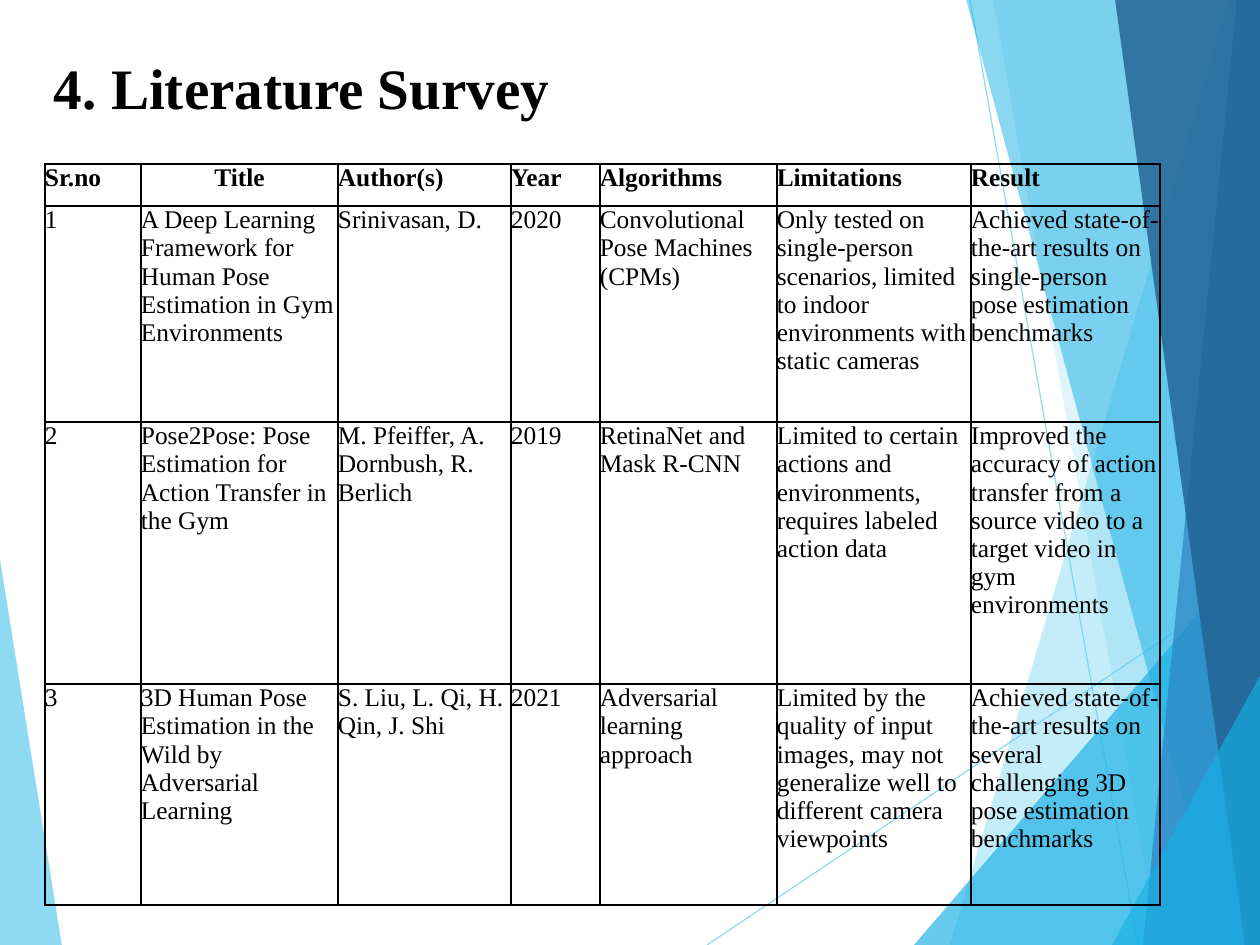
import dataclasses

import lxml.etree
import pptx
import pptx.dml.color
import pptx.enum.shapes
import pptx.enum.text
import pptx.oxml.ns
import pptx.util

SCALE = 8000  # EMU in one px
WIDTH, HEIGHT = 1260, 945
EDGE = 1261  # facets run just past the right side
BLACK, SKY, CYAN, BLUE, NAVY = "000000", "5FCBEF", "17B0E4", "2E83C3", "226292"
TITLE_FONT = {"name": "Times New Roman", "size": pptx.util.Pt(36), "bold": True}
HEAD_FONT = TITLE_FONT | {"size": pptx.util.Pt(16)}
BODY_FONT = HEAD_FONT | {"bold": False}
MIDDLE = pptx.enum.text.MSO_ANCHOR.MIDDLE
LEFT, CENTER = pptx.enum.text.PP_ALIGN.LEFT, pptx.enum.text.PP_ALIGN.CENTER


@dataclasses.dataclass
class Facet:
    points: list[tuple[int, int]]
    color: str
    opacity: int


@dataclasses.dataclass
class Ray:
    start: tuple[int, int]
    end: tuple[int, int]


@dataclasses.dataclass
class Column:
    heading: str
    width: int
    entries: list[str]
    align: pptx.enum.text.PP_ALIGN = LEFT


LEFT_FACET = Facet([(-1, 553), (62, 946), (-1, 945)], SKY, 70)
RAYS = [Ray((707, 945), (1260, 575)), Ray((970, 0), (1138, 945))]


def band(top: int, bottom: int, color: str, opacity: int) -> Facet:
    """Full-height facet from a slanted side to the right edge."""
    return Facet([(top, -1), (bottom, HEIGHT), (EDGE, HEIGHT), (EDGE, -1)], color, opacity)


def corner(left: int, top: int) -> Facet:
    """Triangle in the lower right corner."""
    return Facet([(left, HEIGHT), (EDGE, top), (EDGE, HEIGHT)], CYAN, 66)


RIGHT_FACETS = [
    band(1229, 950, SKY, 36),
    band(993, 1159, SKY, 20),
    corner(914, 541),
    band(966, 1222, CYAN, 50),
    band(1237, 1143, BLUE, 70),
    band(1115, 1245, NAVY, 82),
    corner(1112, 674),
]

ROW_HEIGHTS = [42, 216, 262, 221]
COLUMNS = [
    Column("Sr.no", 96, ["1", "2", "3"]),
    Column("Title", 197, [
        "A Deep Learning Framework for Human Pose Estimation in Gym Environments",
        "Pose2Pose: Pose Estimation for Action Transfer in the Gym",
        "3D Human Pose Estimation in the Wild by Adversarial Learning",
    ], CENTER),
    Column("Author(s)", 173, [
        "Srinivasan, D.",
        "M. Pfeiffer, A. Dornbush, R. Berlich",
        "S. Liu, L. Qi, H. Qin, J. Shi",
    ]),
    Column("Year", 89, ["2020", "2019", "2021"]),
    Column("Algorithms", 177, [
        "Convolutional Pose Machines (CPMs)",
        "RetinaNet and Mask R-CNN",
        "Adversarial learning approach",
    ]),
    Column("Limitations", 194, [
        "Only tested on single-person scenarios, limited to indoor environments with static cameras",
        "Limited to certain actions and environments, requires labeled action data",
        "Limited by the quality of input images, may not generalize well to different camera viewpoints",
    ]),
    Column("Result", 189, [
        "Achieved state-of-the-art results on single-person pose estimation benchmarks",
        "Improved the accuracy of action transfer from a source video to a target video in gym environments",
        "Achieved state-of-the-art results on several challenging 3D pose estimation benchmarks",
    ]),
]


def px(*lengths: int) -> list[int]:
    return [length * SCALE for length in lengths]


def rgb(color: str) -> pptx.dml.color.RGBColor:
    return pptx.dml.color.RGBColor.from_string(color)


def add_child(parent, tag: str, **attributes: str):
    return lxml.etree.SubElement(parent, pptx.oxml.ns.qn(tag), attributes)


def set_opacity(shape, percent: int) -> None:
    for color in shape.element.spPr.iter(pptx.oxml.ns.qn("a:srgbClr")):
        add_child(color, "a:alpha", val=str(percent * 1000))


def draw_facet(page, facet: Facet) -> None:
    builder = page.shapes.build_freeform(*facet.points[0], scale=SCALE)
    builder.add_line_segments(facet.points[1:], close=True)
    shape = builder.convert_to_shape()
    shape.shadow.inherit = False
    shape.fill.solid()
    shape.fill.fore_color.rgb = rgb(facet.color)
    shape.line.fill.background()
    set_opacity(shape, facet.opacity)


def draw_ray(page, ray: Ray) -> None:
    straight = pptx.enum.shapes.MSO_CONNECTOR.STRAIGHT
    line = page.shapes.add_connector(straight, *px(*ray.start, *ray.end))
    line.line.color.rgb = rgb(SKY)
    line.line.width = pptx.util.Pt(0.75)
    set_opacity(line, 70)
    add_child(line.element.spPr, "a:effectLst")


def write(frame, text: str, font: dict, align=LEFT):
    para = frame.paragraphs[0]
    para.alignment = align
    span = para.add_run()
    span.text = text
    for name, value in font.items():
        setattr(span.font, name, value)
    span.font.color.rgb = rgb(BLACK)
    return para


def draw_title(page) -> None:
    frame = page.shapes.add_textbox(*px(54, 32, 1134, 113)).text_frame
    layout = {"word_wrap": True, "vertical_anchor": MIDDLE, "margin_left": 0,
              "margin_top": px(3)[0], "margin_right": 0, "margin_bottom": 0}
    for name, value in layout.items():
        setattr(frame, name, value)
    write(frame, "4. Literature Survey", TITLE_FONT).line_spacing = 0.93


def format_cell(cell) -> None:
    for side in ("left", "top", "right", "bottom"):
        setattr(cell, f"margin_{side}", 0)
    properties = cell._tc.get_or_add_tcPr()
    for tag in ("a:lnL", "a:lnR", "a:lnT", "a:lnB"):
        border = add_child(properties, tag, w=str(pptx.util.Pt(1)))
        add_child(add_child(border, "a:solidFill"), "a:srgbClr", val=BLACK)
    cell.fill.background()


def draw_table(page) -> None:
    size = sum(column.width for column in COLUMNS), sum(ROW_HEIGHTS)
    table = page.shapes.add_table(len(ROW_HEIGHTS), len(COLUMNS), *px(45, 164, *size)).table
    table.first_row = table.horz_banding = False
    for row, height in zip(table.rows, ROW_HEIGHTS):
        row.height = px(height)[0]
    for index, column in enumerate(COLUMNS):
        table.columns[index].width = px(column.width)[0]
        for row, text in enumerate([column.heading, *column.entries]):
            cell = table.cell(row, index)
            format_cell(cell)
            if row == 0:
                write(cell.text_frame, text, HEAD_FONT, column.align)
            else:
                write(cell.text_frame, text, BODY_FONT)


def main() -> None:
    deck = pptx.Presentation()
    deck.slide_width, deck.slide_height = px(WIDTH, HEIGHT)
    page = deck.slides.add_slide(deck.slide_layouts[6])

    # Background facets and rays
    draw_facet(page, LEFT_FACET)
    for ray in RAYS:
        draw_ray(page, ray)
    for facet in RIGHT_FACETS:
        draw_facet(page, facet)

    # Heading and survey table
    draw_title(page)
    draw_table(page)
    deck.save("out.pptx")


if __name__ == "__main__":
    main()
